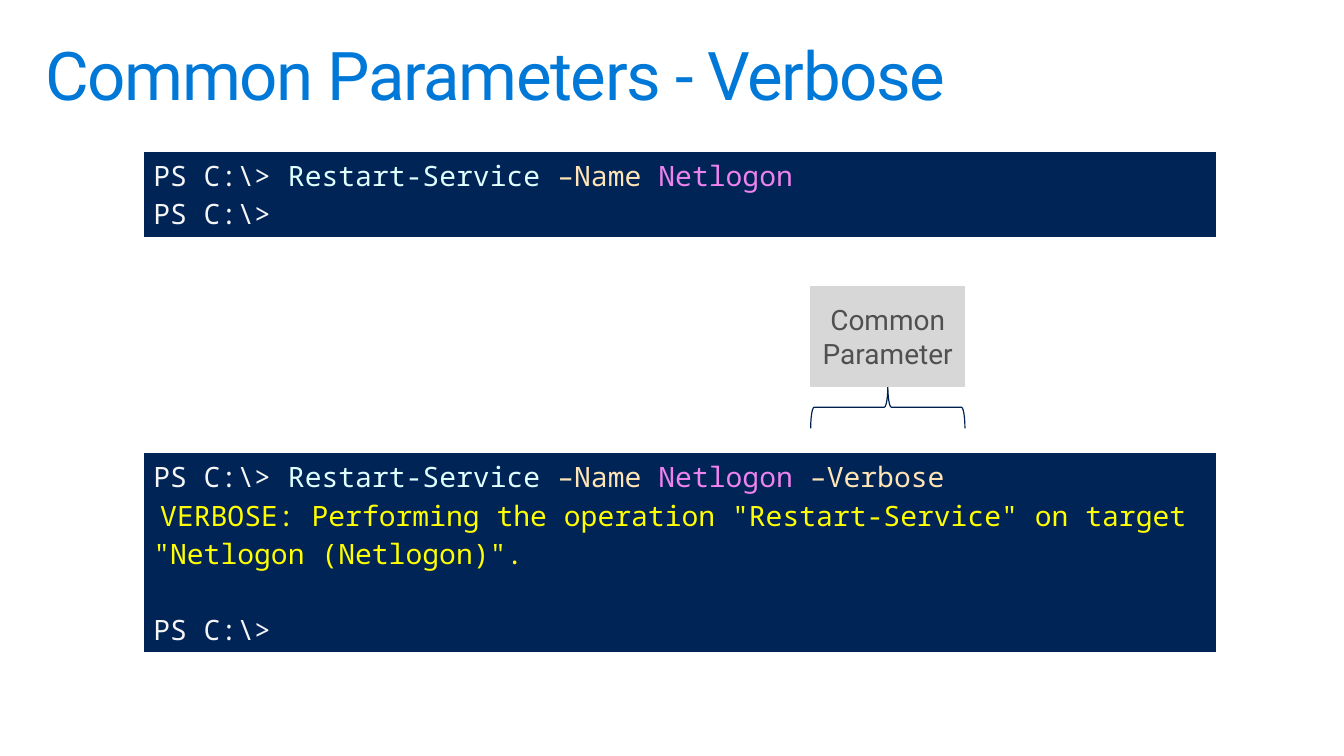
"""Build the slide on the Verbose common parameter."""
from lxml.etree import SubElement
from pptx import Presentation
from pptx.dml.color import RGBColor
from pptx.enum.shapes import MSO_SHAPE as SHAPE
from pptx.enum.text import MSO_ANCHOR as ANCHOR, PP_ALIGN as ALIGN
from pptx.oxml.ns import qn
from pptx.util import Inches, Pt

SANS, MONO = "Roboto", "Noto Sans Mono"
TITLE = "Common Parameters - Verbose"
CALLOUT = "Common Parameter"
BLUE, NAVY, BRACE, GREY, DARK, WHITE = "0078D7", "012456", "002050", "D7D7D7", "505050", "FFFFFF"
PROMPT, CMDLET, PARAM, VALUE, VERBOSE = "F5F5F5", "E0FFFF", "FFE4B5", "EE82EE", "FFFF00"

COMMAND = [("PS C:\\> ", PROMPT, MONO), ("Restart-Service ", CMDLET, MONO), ("–Name ", PARAM, MONO)]
END_PROMPT = [("PS C:\\>", PROMPT, MONO)]
MESSAGE = 'VERBOSE: Performing the operation "Restart-Service" on target "Netlogon (Netlogon)".'
CONSOLES = [
    (1.5, 0.87, 0, [COMMAND + [("Netlogon", VALUE, MONO)], END_PROMPT]),
    (4.49, 2.0, 27.3, [
        COMMAND + [("Netlogon ", VALUE, MONO), ("–Verbose", PARAM, MONO)],
        [(" ", VERBOSE, SANS), (MESSAGE, VERBOSE, MONO)],
        END_PROMPT,
    ]),
]
BORDERS = [("a:lnL", 1), ("a:lnR", 1), ("a:lnT", 1), ("a:lnB", 3)]
CONSOLE_X, CONSOLE_W = 1.42, 10.65
BOX_X, BOX_Y, BOX_W, BOX_H = 8.04, 2.84, 1.53, 0.99
BRACE_H = 0.42


def rgb(color):
    return RGBColor.from_string(color)


def add_run(p, text, color, font, size=20):
    r = p.add_run()
    r.text = text
    r.font.name, r.font.size = font, Pt(size)
    r.font.color.rgb = rgb(color)
    return r


def add_title(slide):
    tf = slide.shapes.add_textbox(Inches(0.29), Inches(0.32), Inches(12.75), Inches(0.98)).text_frame
    tf.word_wrap = True
    tf.margin_left = tf.margin_right = Inches(0.16)
    tf.margin_top = tf.margin_bottom = Inches(0.1)
    p = tf.paragraphs[0]
    p.line_spacing = 0.9
    r = add_run(p, TITLE, BLUE, SANS, 48)
    r.font._element.set("spc", "-100")


def add_borders(cell):
    tc_pr = cell._tc.get_or_add_tcPr()
    for i, (tag, width) in enumerate(BORDERS):
        ln = SubElement(tc_pr, qn(tag), w=str(Pt(width)))
        SubElement(SubElement(ln, qn("a:solidFill")), qn("a:srgbClr"), val=WHITE)
        tc_pr.insert(i, ln)


def add_console(slide, top, height, gap, lines):
    table = slide.shapes.add_table(
        1, 1, Inches(CONSOLE_X), Inches(top), Inches(CONSOLE_W), Inches(height)).table
    table.first_row = table.horz_banding = False
    cell = table.cell(0, 0)
    cell.fill.solid()
    cell.fill.fore_color.rgb = rgb(NAVY)
    add_borders(cell)
    tf = cell.text_frame
    for i, runs in enumerate(lines):
        p = tf.add_paragraph() if i else tf.paragraphs[0]
        for run in runs:
            add_run(p, *run)
    p.space_before = Pt(gap)


def add_outlined(slide, kind, x, y, w, h, line):
    sp = slide.shapes.add_shape(kind, Inches(x), Inches(y), Inches(w), Inches(h))
    sp.shadow.inherit = False
    sp.line.color.rgb = rgb(line)
    sp.line.width = Pt(0.85)
    return sp


def add_callout(slide):
    brace_x = BOX_X + (BOX_W - BRACE_H) / 2
    brace_y = BOX_Y + BOX_H + (BRACE_H - BOX_W) / 2
    brace = add_outlined(slide, SHAPE.LEFT_BRACE, brace_x, brace_y, BRACE_H, BOX_W, BRACE)
    brace.rotation = 90
    brace.fill.background()
    box = add_outlined(slide, SHAPE.RECTANGLE, BOX_X, BOX_Y, BOX_W, BOX_H, GREY)
    box.fill.solid()
    box.fill.fore_color.rgb = rgb(GREY)
    tf = box.text_frame
    tf.word_wrap = True
    tf.vertical_anchor = ANCHOR.MIDDLE
    p = tf.paragraphs[0]
    p.alignment = ALIGN.CENTER
    add_run(p, CALLOUT, DARK, SANS)


def main():
    prs = Presentation()
    prs.slide_width, prs.slide_height = Inches(13.33), Inches(7.5)
    slide = prs.slides.add_slide(prs.slide_layouts[6])
    add_title(slide)
    add_callout(slide)
    for console in CONSOLES:
        add_console(slide, *console)
    prs.save("out.pptx")


if __name__ == "__main__":
    main()
